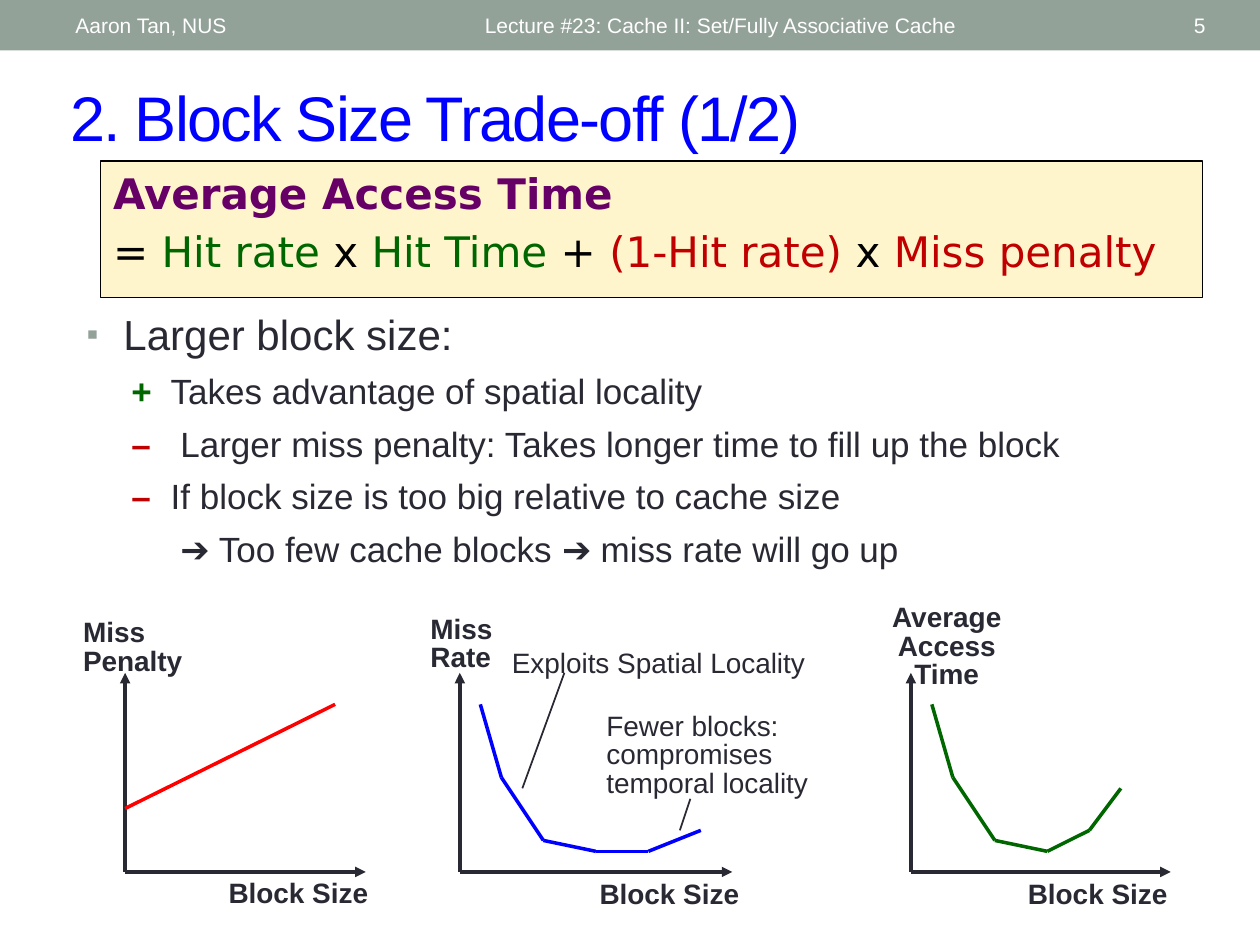
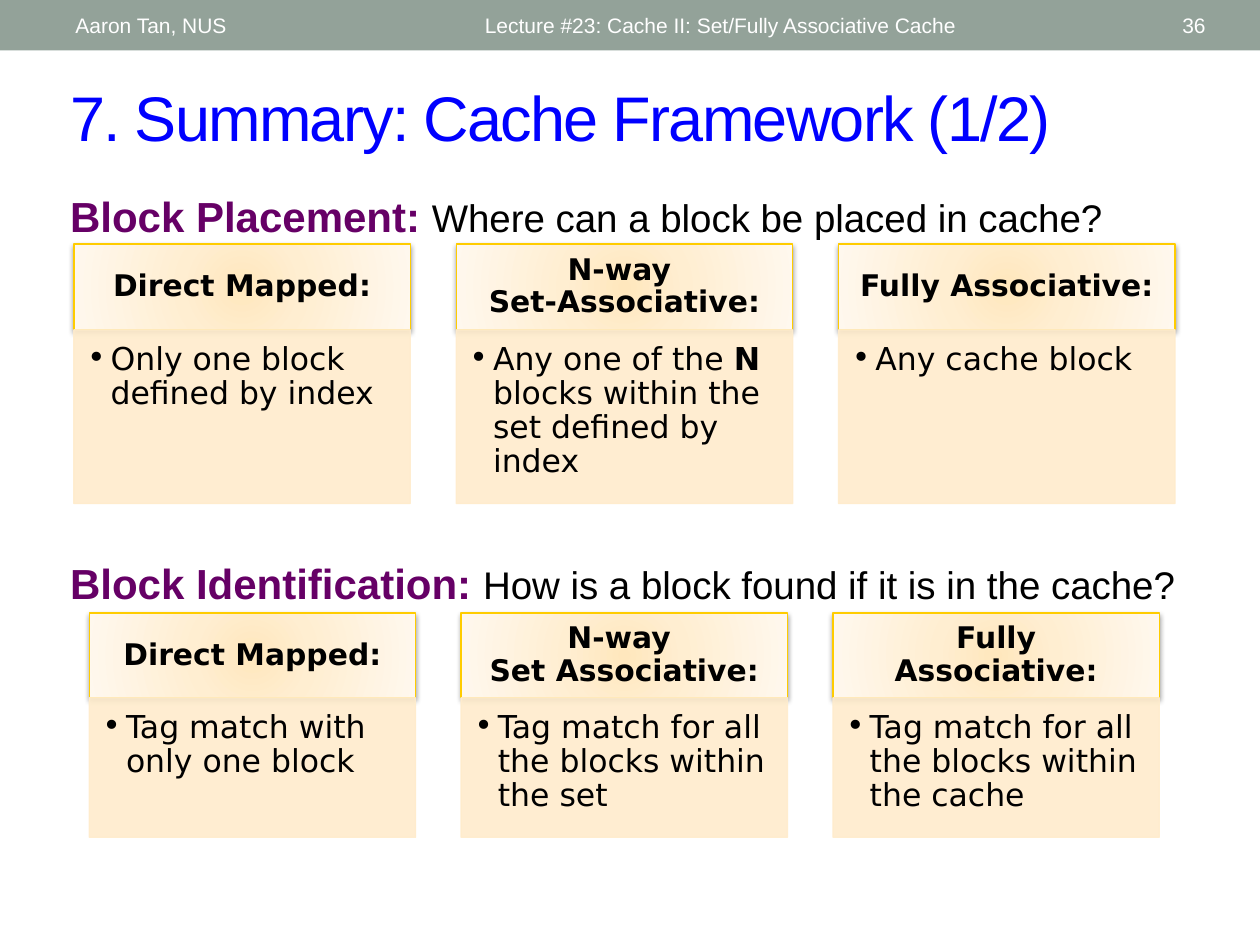
from itertools import pairwise

from lxml import etree
from pptx import Presentation
from pptx.dml.color import RGBColor
from pptx.enum.shapes import MSO_CONNECTOR, MSO_SHAPE
from pptx.enum.text import MSO_ANCHOR, PP_ALIGN
from pptx.oxml import parse_xml
from pptx.oxml.ns import qn
from pptx.util import Pt

RECT = MSO_SHAPE.RECTANGLE
STRAIGHT = MSO_CONNECTOR.STRAIGHT
TOP, MIDDLE = MSO_ANCHOR.TOP, MSO_ANCHOR.MIDDLE
LEFT, CENTER, RIGHT = PP_ALIGN.LEFT, PP_ALIGN.CENTER, PP_ALIGN.RIGHT
rgb = RGBColor.from_string

SAGE, INK, BLACK, WHITE = "93A299", "292934", "000000", "FFFFFF"
BLUE, PURPLE, GREEN, RED = "0000FF", "660066", "006600", "C00000"
BRIGHT_RED, CREAM, GOLD, PEACH = "FF0000", "FFF5CC", "FFCC00", "FFECCC"
SANS, WIDE = "Arial", "DejaVu Sans"
BOX_INSET, LABEL_INSET = (7.2, 3.6, 7.2, 3.6), (5, 2.2, 5, 2.2)
NS = "http://schemas.openxmlformats.org/drawingml/2006/main"
GRADIENT = f"""<a:gradFill xmlns:a="{NS}" rotWithShape="1"><a:gsLst>
<a:gs pos="0"><a:srgbClr val="FFE7BD"/></a:gs>
<a:gs pos="35000"><a:srgbClr val="FFEED1"/></a:gs>
<a:gs pos="100000"><a:srgbClr val="FFF8EE"/></a:gs></a:gsLst>
<a:path path="circle"><a:fillToRect l="50000" t="50000" r="50000" b="50000"/></a:path>
</a:gradFill>"""
SHADOW = f"""<a:outerShdw xmlns:a="{NS}" blurRad="39400" dist="20300" dir="5400000"
rotWithShape="0"><a:srgbClr val="000000"><a:alpha val="38000"/></a:srgbClr></a:outerShdw>"""


def write(sp, paras, font=SANS, inset=BOX_INSET, anchor=TOP, align=LEFT, spacing=1, wrap=True):
    tf = sp.text_frame
    tf.word_wrap = wrap
    tf.vertical_anchor = anchor
    tf.margin_left, tf.margin_top, tf.margin_right, tf.margin_bottom = map(Pt, inset)
    for i, runs in enumerate(paras):
        p = tf.add_paragraph() if i else tf.paragraphs[0]
        p.alignment = align
        p.line_spacing = spacing
        for text, size, color, bold in runs:
            for j, part in enumerate(text.split("\v")):
                if j:
                    p.add_line_break()
                r = p.add_run()
                r.text = part
                r.font.name, r.font.size, r.font.bold = font, Pt(size), bold
                r.font.color.rgb = rgb(color)
    return tf


def draw_line(s, start, end, color, width, arrow=False):
    cx = s.shapes.add_connector(STRAIGHT, *map(Pt, start + end))
    cx.line.color.rgb = rgb(color)
    cx.line.width = Pt(width)
    if arrow:
        etree.SubElement(cx.line._get_or_add_ln(), qn("a:tailEnd"), type="triangle")
    etree.SubElement(cx._element.spPr, qn("a:effectLst"))


prs = Presentation()
prs.slide_width, prs.slide_height = Pt(720), Pt(540)

slides = []
for title, number in [("2. Block Size Trade-off (1/2)", "5"),
                      ("7. Summary: Cache Framework (1/2)", "36")]:
    s = prs.slides.add_slide(prs.slide_layouts[6])
    slides.append(s)
    band = s.shapes.add_shape(RECT, 0, 0, prs.slide_width, Pt(28.8))
    band.shadow.inherit = False
    band.fill.solid()
    band.fill.fore_color.rgb = rgb(SAGE)
    band.line.fill.background()
    for text, x, w, align in [("Aaron Tan, NUS", 36, 228, LEFT),
                              ("Lecture #23: Cache II: Set/Fully Associative Cache", 270, 324, LEFT),
                              (number, 628, 68, RIGHT)]:
        sp = s.shapes.add_textbox(*map(Pt, (x, 1.5, w, 26)))
        write(sp, [[(text, 12, WHITE, False)]], anchor=MIDDLE, align=align)
    sp = s.shapes.add_textbox(*map(Pt, (33, 41.5, 663, 50.4)))
    tf = write(sp, [[(title, 36, BLUE, False)]], anchor=MIDDLE)
    tf.paragraphs[0].runs[0].font._element.set("spc", "-100")

s = slides[0]
formula = s.shapes.add_shape(RECT, *map(Pt, (57.5, 92, 629.5, 78)))
formula.shadow.inherit = False
formula.fill.solid()
formula.fill.fore_color.rgb = rgb(CREAM)
formula.line.color.rgb = rgb(BLACK)
formula.line.width = Pt(0.75)
terms = [("= ", BLACK), ("Hit rate", GREEN), (" x ", BLACK), ("Hit Time ", GREEN),
         ("+ ", BLACK), ("(1-Hit rate) ", RED), ("x ", BLACK), ("Miss penalty", RED)]
tf = write(formula, [[("Average Access Time", 24, PURPLE, True)],
                     [(text, 24, color, False) for text, color in terms]], font=WIDE)
tf.paragraphs[1].space_before = Pt(4.8)

sp = s.shapes.add_textbox(*map(Pt, (42.5, 173, 612, 159)))
tf = write(sp, [
    [("Larger block size:", 24, INK, False)],
    [("+", 20, GREEN, True), ("\tTakes advantage of spatial locality", 20, INK, False)],
    [("–", 20, RED, True),
     ("\tLarger miss penalty: Takes longer time to fill up the block", 20, INK, False)],
    [("–", 20, RED, True), ("\tIf block size is too big relative to cache size", 20, INK, False)],
    [("➔ Too few cache blocks ➔ miss rate will go up", 20, INK, False)]])
indents = [(21, -21), (48, -22.5), (53.5, -28), (48, -22.5), (53.5, 0)]
for i, (p, (margin, hang)) in enumerate(zip(tf.paragraphs, indents)):
    pPr = p._p.get_or_add_pPr()
    pPr.set("marL", str(Pt(margin)))
    pPr.set("indent", str(Pt(hang)))
    if i:
        p.space_before = Pt(6)
    else:
        bullet_color = etree.SubElement(pPr, qn("a:buClr"))
        etree.SubElement(bullet_color, qn("a:srgbClr"), val=SAGE)
        etree.SubElement(pPr, qn("a:buSzPct"), val="80000")
        etree.SubElement(pPr, qn("a:buFont"), typeface=SANS)
        etree.SubElement(pPr, qn("a:buChar"), char="▪")

AXIS_TOP, AXIS_BASE = 384.5, 498.25
graphs = [
    (71.5, 209, BRIGHT_RED, [(71.5, 462), (191.5, 402.5)]),
    (262.75, 418.5, BLUE, [(274.5, 402.5), (286.5, 444.25), (310.5, 480.25),
                           (340.5, 486.5), (370.5, 486.5), (400.5, 474.5)]),
    (520.5, 669, GREEN, [(532.5, 402.5), (544.5, 444.25), (568.5, 480.25),
                         (598.5, 486.5), (622.5, 474.5), (640.5, 450.5)]),
]
for x, x_end, color, points in graphs:
    origin = (x, AXIS_BASE)
    for tip in [(x, AXIS_TOP), (x_end, AXIS_BASE)]:
        draw_line(s, origin, tip, INK, 2, arrow=True)
    for start, end in pairwise(points):
        draw_line(s, start, end, color, 2)
for start, end in [((298.5, 450.5), (322.5, 384.5)), ((388.5, 474.5), (394.5, 456.5))]:
    draw_line(s, start, end, INK, 1)

labels = [
    (["Miss", "Penalty"], (42.5, 352, 67, 37), True, LEFT),
    (["Miss", "Rate"], (241, 350, 45.5, 37), True, LEFT),
    (["Average", "Access", "Time"], (504.5, 343.5, 73, 53), True, CENTER),
    (["Exploits Spatial Locality"], (287.5, 369.5, 180, 20), False, LEFT),
    (["Fewer blocks:", "compromises", "temporal locality"], (341.5, 405.5, 135, 53), False, LEFT),
]
for lines, box, bold, align in labels:
    write(s.shapes.add_textbox(*map(Pt, box)), [[(text, 16, INK, bold)] for text in lines],
          inset=LABEL_INSET, align=align, spacing=0.85, wrap=len(lines) == 3)
for x, y in [(123.5, 496.5), (335.5, 497.5), (580.25, 497.5)]:
    sp = s.shapes.add_textbox(*map(Pt, (x, y, 95, 26.5)))
    write(sp, [[("Block Size", 16, INK, True)]], wrap=False)

s = slides[1]
sections = [
    ("Block Placement: ", "Where can a block be placed in cache?", 108.75,
     (42.25, 139.5, 192.25, 218.5, 49, 99.25),
     [("Direct Mapped:", [("Only one block defined by index", False)]),
      ("N-way \vSet-Associative:", [("Any one of the ", False), ("N", True),
                                    (" blocks within the set defined by index", False)]),
      ("Fully Associative:", [("Any cache block", False)])]),
    ("Block Identification: ", "How is a block found if it is in the cache?", 318.25,
     (51, 350.25, 186.5, 212.5, 48.5, 79.75),
     [("Direct Mapped:", [("Tag match with only one block", False)]),
      ("N-way \vSet Associative:", [("Tag match for all the blocks within the set", False)]),
      ("Fully Associative:", [("Tag match for all the blocks within the cache", False)])]),
]
for topic, question, topic_y, (x, y, w, step, head_h, body_h), cards in sections:
    sp = s.shapes.add_textbox(*map(Pt, (33, topic_y, 648, 34.5)))
    write(sp, [[(topic, 24, PURPLE, True), (question, 22, BLACK, False)]], spacing=0.9)
    for i, (heading, body) in enumerate(cards):
        left = x + i * step
        head = s.shapes.add_shape(RECT, *map(Pt, (left, y, w, head_h)))
        head.shadow.inherit = False
        head.line.color.rgb = rgb(GOLD)
        head.line.width = Pt(0.75)
        spPr = head._element.spPr
        spPr.find(qn("a:prstGeom")).addnext(parse_xml(GRADIENT))
        spPr.find(qn("a:effectLst")).append(parse_xml(SHADOW))
        write(head, [[(heading, 17, BLACK, True)]], font=WIDE, inset=(9.5, 5.5, 9.5, 5.5),
              anchor=MIDDLE, align=CENTER, spacing=0.9)

        panel = s.shapes.add_shape(RECT, *map(Pt, (left, y + head_h, w, body_h)))
        panel.shadow.inherit = False
        panel.fill.solid()
        panel.fill.fore_color.rgb = rgb(PEACH)
        panel.line.color.rgb = rgb(PEACH)
        panel.line.width = Pt(0.75)
        for color in panel._element.spPr.iter(qn("a:srgbClr")):
            etree.SubElement(color, qn("a:alpha"), val="90000")
        tf = write(panel, [[(text, 18, BLACK, bold) for text, bold in body]], font=WIDE,
                   inset=(7.5, 7.5, 10, 11.5), spacing=0.9)
        pPr = tf.paragraphs[0]._p.get_or_add_pPr()
        pPr.set("marL", str(Pt(13.5)))
        pPr.set("indent", str(Pt(-13.5)))
        etree.SubElement(pPr, qn("a:buFont"), typeface=WIDE)
        etree.SubElement(pPr, qn("a:buChar"), char="•")

prs.save("out.pptx")
